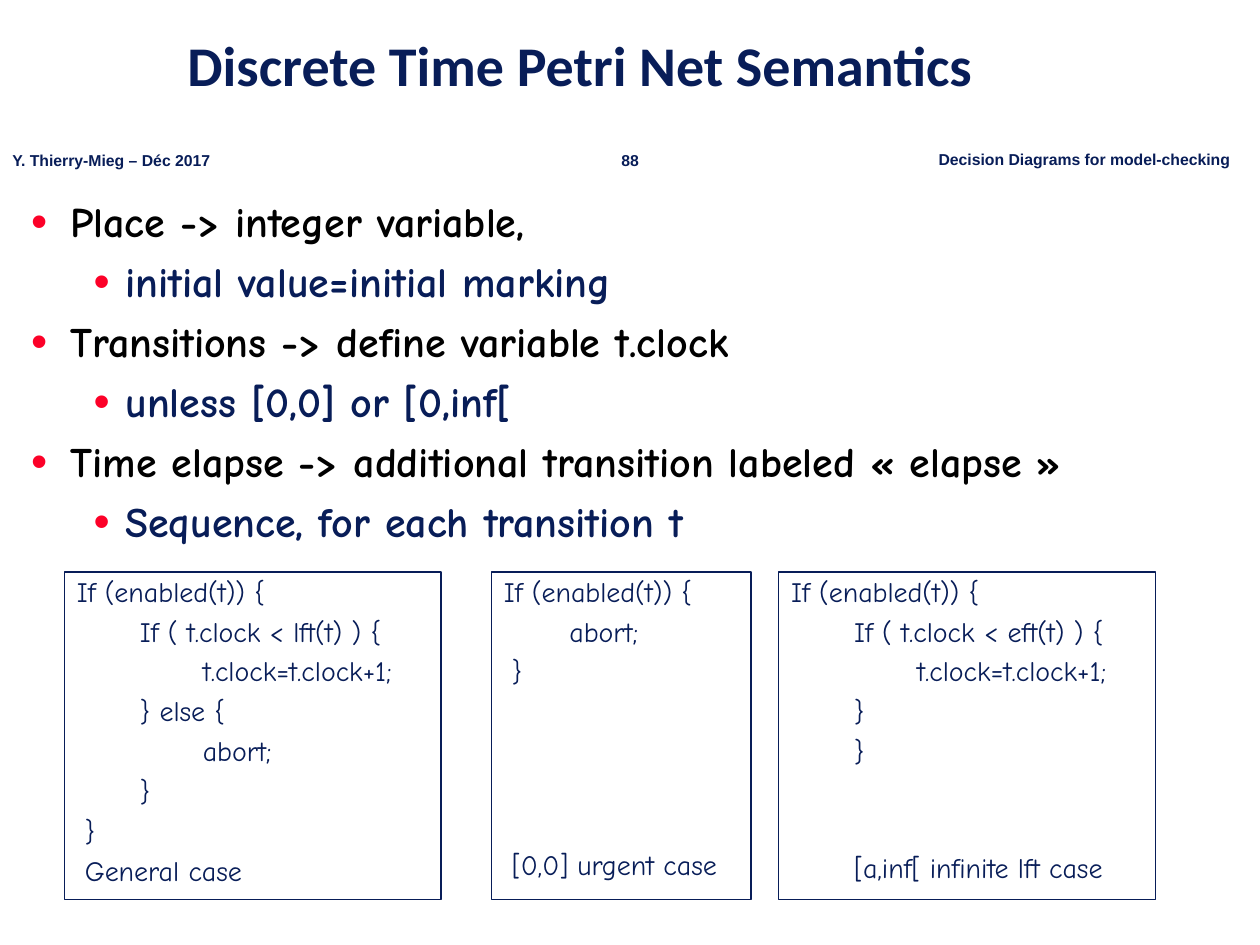
from dataclasses import dataclass

from lxml import etree
from pptx import Presentation
from pptx.dml.color import RGBColor
from pptx.enum.shapes import MSO_SHAPE
from pptx.enum.text import MSO_ANCHOR, PP_ALIGN
from pptx.oxml.ns import qn
from pptx.util import Cm, Pt

RECT = MSO_SHAPE.RECTANGLE
TOP, MIDDLE = MSO_ANCHOR.TOP, MSO_ANCHOR.MIDDLE
LEFT, CENTER = PP_ALIGN.LEFT, PP_ALIGN.CENTER


@dataclass(frozen=True)
class Theme:
    navy: str = "081D58"
    black: str = "000000"
    bullet: str = "FC0128"
    title_font: str = "Calibri"
    body_font: str = "Comic Neue"
    footer_font: str = "Arial"
    title_size: float = 32
    body_size: float = 24
    code_size: float = 16
    footer_size: float = 9
    line_spacing: float = 0.9
    body_gap: float = 8.3
    code_gap: float = 5.5
    code_pitch: float = 22


@dataclass(frozen=True)
class Box:
    left: float
    top: float
    width: float
    height: float

    def lengths(self):
        return Cm(self.left), Cm(self.top), Cm(self.width), Cm(self.height)


@dataclass(frozen=True)
class Footer:
    text: str
    box: Box
    align: PP_ALIGN = LEFT


@dataclass(frozen=True)
class Line:
    """A code line: indent in cm, and the number of free rows above it."""
    text: str
    indent: float = 0
    rows_above: int = 0


@dataclass(frozen=True)
class CodeCase:
    box: Box
    lines: tuple[Line, ...]


THEME = Theme()
STEP = 1.27
NUDGE = 0.16
CODE_TOP, CODE_HEIGHT = 11.53, 6.6
WIDE, NARROW = 7.59, 5.23

TITLE_BOX = Box(3.53, 0, 21.87, 2.74)
BODY_BOX = Box(0.38, 3.94, 24.61, 15)

FOOTERS = (
    Footer("88", Box(12.17, 2.92, 1.07, 0.64), CENTER),
    Footer("Y. Thierry-Mieg – Déc 2017", Box(0, 2.92, 4.57, 0.64)),
    Footer("Decision Diagrams for model-checking", Box(18.67, 2.9, 6.43, 0.64)),
)

# Each statement is followed by its detail.
BULLETS = (
    ("Place -> integer variable,", "initial value=initial marking"),
    ("Transitions -> define variable t.clock", "unless [0,0] or [0,inf["),
    ("Time elapse -> additional transition labeled « elapse »",
     "Sequence, for each transition t"),
)

CASES = (
    CodeCase(Box(1.3, CODE_TOP, WIDE, CODE_HEIGHT), (
        Line("If (enabled(t)) {"),
        Line("If ( t.clock < lft(t) ) {", STEP),
        Line("t.clock=t.clock+1;", 2 * STEP),
        Line("} else {", STEP),
        Line("abort;", 2 * STEP),
        Line("}", STEP),
        Line("}", NUDGE),
        Line("General case", NUDGE),
    )),
    CodeCase(Box(9.91, CODE_TOP, NARROW, CODE_HEIGHT), (
        Line("If (enabled(t)) {"),
        Line("abort;", 1.32),
        Line("}", NUDGE),
        Line("[0,0] urgent case", NUDGE, rows_above=4),
    )),
    CodeCase(Box(15.7, CODE_TOP, WIDE, CODE_HEIGHT), (
        Line("If (enabled(t)) {"),
        Line("If ( t.clock < eft(t) ) {", STEP),
        Line("t.clock=t.clock+1;", 2 * STEP),
        Line("}", STEP),
        Line("}", STEP),
        Line("[a,inf[ infinite lft case", STEP, rows_above=2),
    )),
)


def write(p, text: str, font: str, size: float, color: str, bold: bool = False) -> None:
    p.text = text
    for r in p.runs:
        r.font.name = font
        r.font.size = Pt(size)
        r.font.bold = bold
        r.font.color.rgb = RGBColor.from_string(color)


def set_indent(p, left: float, first: float = 0) -> None:
    pPr = p._p.get_or_add_pPr()
    pPr.set("marL", str(Cm(left)))
    pPr.set("indent", str(Cm(first)))


def set_spacing(p, before: float) -> None:
    p.line_spacing = THEME.line_spacing
    p.space_before = Pt(before)


def add_bullet(p) -> None:
    pPr = p._p.get_or_add_pPr()
    color = etree.SubElement(pPr, qn("a:buClr"))
    etree.SubElement(color, qn("a:srgbClr")).set("val", THEME.bullet)
    etree.SubElement(pPr, qn("a:buSzPct")).set("val", "110000")
    etree.SubElement(pPr, qn("a:buFont")).set("typeface", THEME.footer_font)
    etree.SubElement(pPr, qn("a:buChar")).set("char", "•")


def next_paragraph(tf, index: int):
    return tf.add_paragraph() if index else tf.paragraphs[0]


def add_text_frame(s, box: Box, wrap: bool = True):
    tf = s.shapes.add_textbox(*box.lengths()).text_frame
    tf.word_wrap = wrap
    return tf


def add_title(s, text: str) -> None:
    tf = add_text_frame(s, TITLE_BOX)
    tf.vertical_anchor = MIDDLE
    p = tf.paragraphs[0]
    write(p, text, THEME.title_font, THEME.title_size, THEME.navy, bold=True)
    p.line_spacing = THEME.line_spacing


def add_footer(s, footer: Footer) -> None:
    p = add_text_frame(s, footer.box, wrap=False).paragraphs[0]
    write(p, footer.text, THEME.footer_font, THEME.footer_size, THEME.navy, bold=True)
    p.alignment = footer.align


def add_body(s) -> None:
    tf = add_text_frame(s, BODY_BOX)
    levels = ((THEME.black, 0.79, -0.79), (THEME.navy, 1.9, -0.64))
    for row, pair in enumerate(BULLETS):
        for level, text in enumerate(pair):
            color, left, first = levels[level]
            p = next_paragraph(tf, row + level)
            write(p, text, THEME.body_font, THEME.body_size, color, bold=True)
            p.level = level
            set_indent(p, left, first)
            set_spacing(p, THEME.body_gap)
            add_bullet(p)


def add_code_case(s, case: CodeCase) -> None:
    sp = s.shapes.add_shape(RECT, *case.box.lengths())
    sp.shadow.inherit = False
    sp.fill.background()
    sp.line.color.rgb = RGBColor.from_string(THEME.navy)
    sp.line.width = Pt(0.75)
    tf = sp.text_frame
    tf.word_wrap = True
    tf.vertical_anchor = TOP
    for i, line in enumerate(case.lines):
        p = next_paragraph(tf, i)
        write(p, line.text, THEME.body_font, THEME.code_size, THEME.navy)
        p.alignment = LEFT
        set_indent(p, line.indent)
        set_spacing(p, THEME.code_gap + line.rows_above * THEME.code_pitch)


def main() -> None:
    prs = Presentation()
    prs.slide_width, prs.slide_height = Cm(25.4), Cm(19.05)
    s = prs.slides.add_slide(prs.slide_layouts[6])
    for footer in FOOTERS:
        add_footer(s, footer)
    add_title(s, "Discrete Time Petri Net Semantics")
    add_body(s)
    for case in CASES:
        add_code_case(s, case)
    prs.save("out.pptx")


if __name__ == "__main__":
    main()
